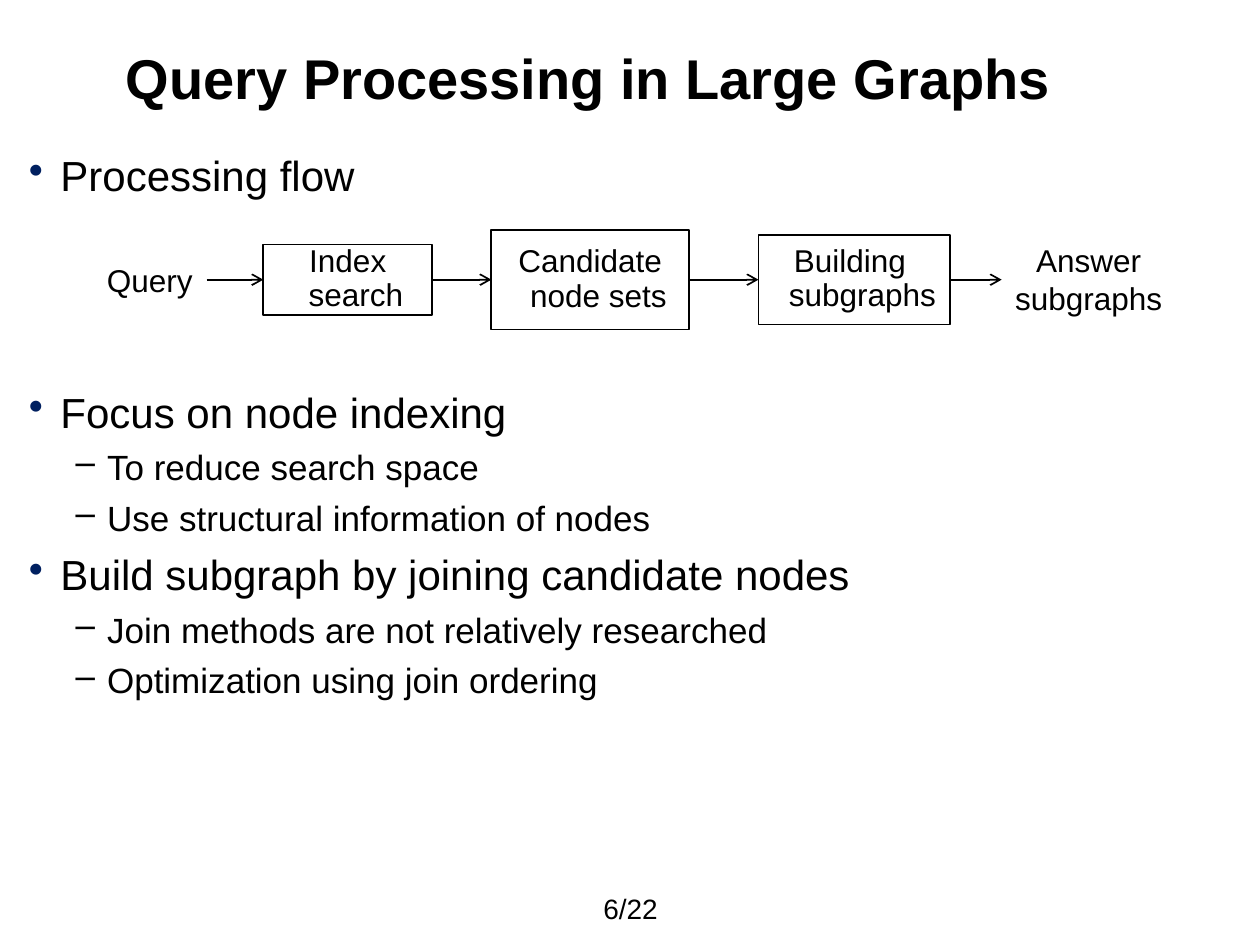
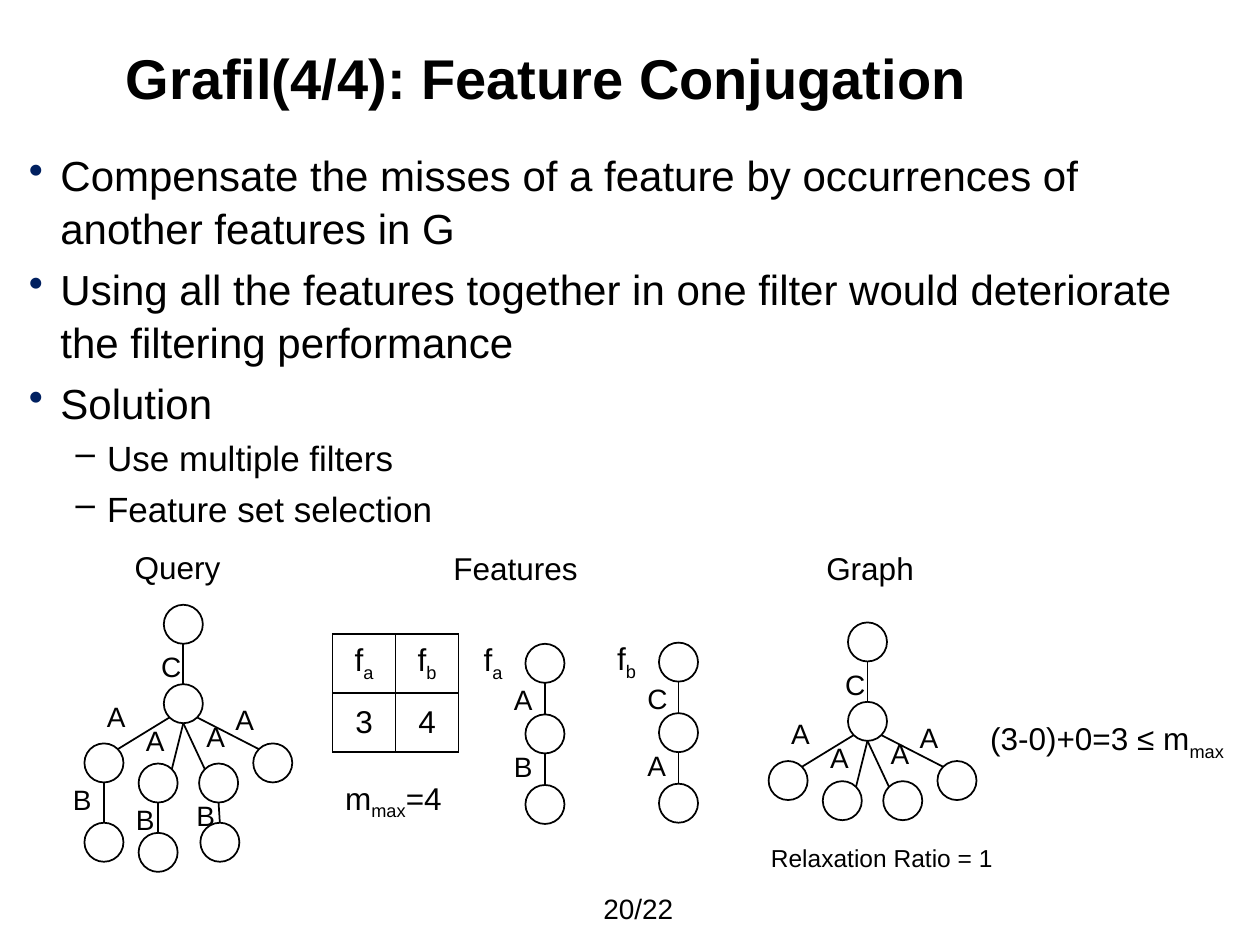
from dataclasses import dataclass
from lxml.etree import SubElement
from pptx import Presentation
from pptx.dml.color import RGBColor
from pptx.enum.shapes import MSO_CONNECTOR, MSO_SHAPE
from pptx.enum.text import MSO_ANCHOR, PP_ALIGN
from pptx.oxml.ns import qn
from pptx.util import Inches, Pt


@dataclass(frozen=True)
class Theme:
    font: str = "Arial"
    ink: str = "000000"
    bullet: str = "002060"
    title: int = 32
    levels: tuple = (24, 20)
    label: int = 18
    small: int = 16
    note: int = 14
    line: int = 1


T = Theme()
COLUMNS, ROWS = 100, 75
SLIDE_W, SLIDE_H = Inches(10), Inches(7.5)
LAST_PAGE = 22

TITLE_BOX = (9, 2.9, 82.9, 6.4)
BODY_BOX = (2.3, 11.7, 95.3, 54.7)
FOOTER_BOX = (46.9, 70.6, 8.6, 2.9)

NODE = 3.1
TOP, TOP_LEFT, BOTTOM_LEFT = (0.5, 0), (0.15, 0.15), (0.15, 0.85)
BOTTOM, BOTTOM_RIGHT, TOP_RIGHT = (0.5, 1), (0.85, 0.85), (0.85, 0.15)

STAR_NODES = [(0, 0), (0, 6.3), (-6.3, 11), (-2, 12.6), (2.8, 12.6), (7.1, 11)]
STAR_EDGES = [
    (0, BOTTOM, 1, TOP),
    (1, BOTTOM_LEFT, 2, TOP_RIGHT),
    (1, BOTTOM, 3, TOP_RIGHT),
    (1, BOTTOM, 4, TOP_LEFT),
    (1, BOTTOM_RIGHT, 5, TOP_LEFT),
]
STAR_LABELS = [("C", -1.2, 3.1), ("A", -5.5, 7), ("A", -2.4, 8.9),
               ("A", 2.4, 8.6), ("A", 4.7, 7.3)]
TWIG_NODES = [(-6.3, 17.3), (-2, 18.1), (2.9, 17.3)]
TWIG_EDGES = [(n, BOTTOM, n + 4, TOP) for n in (2, 3, 4)]
TWIG_LABELS = [("B", -8.2, 13.6), ("B", -3.2, 15.2), ("B", 1.6, 14.9)]


def col(n):
    return round(n * SLIDE_W / COLUMNS)


def row(n):
    return round(n * SLIDE_H / ROWS)


def place(x, y, w, h):
    return col(x), row(y), col(w), row(h)


def style_runs(p, size, bold=False):
    for r in p.runs:
        r.font.name, r.font.size, r.font.bold = T.font, Pt(size), bold
        r.font.color.rgb = RGBColor.from_string(T.ink)


def write(p, text, size, align=PP_ALIGN.LEFT, bold=False):
    p.alignment = align
    if "_" in text:
        for i, part in enumerate(text.split("_")):
            r = p.add_run()
            r.text = part
            if i % 2:
                r.font._element.set("baseline", "-25000")
    else:
        p.text = text
    style_runs(p, size, bold)


def add_text(slide, box, lines, size, align=PP_ALIGN.LEFT, bold=False,
             wrap=False, anchor=MSO_ANCHOR.TOP):
    sp = slide.shapes.add_textbox(*place(*box))
    tf = sp.text_frame
    tf.word_wrap, tf.vertical_anchor = wrap, anchor
    for i, line in enumerate(lines.split("\n")):
        p = tf.add_paragraph() if i else tf.paragraphs[0]
        write(p, line, size, align, bold)
    return sp


def add_outline(slide, preset, box):
    sp = slide.shapes.add_shape(preset, *place(*box))
    sp.shadow.inherit = False
    sp.fill.background()
    sp.line.color.rgb = RGBColor.from_string(T.ink)
    sp.line.width = Pt(T.line)
    return sp


def add_line(slide, start=(0, 0), end=(0, 0), arrow=False):
    ends = [f(n) for point in (start, end) for f, n in zip((col, row), point)]
    c = slide.shapes.add_connector(MSO_CONNECTOR.STRAIGHT, *ends)
    c.line.color.rgb = RGBColor.from_string(T.ink)
    c.line.width = Pt(T.line)
    if arrow:
        SubElement(c.line._get_or_add_ln(), qn("a:tailEnd"), type="arrow")
    SubElement(c._element.spPr, qn("a:effectLst"))
    return c


def indent(p, left, hanging):
    pPr = p._p.get_or_add_pPr()
    pPr.set("marL", str(Inches(left)))
    pPr.set("indent", str(-Inches(hanging)))
    return pPr


def add_bullets(slide, box, items):
    tf = slide.shapes.add_textbox(*place(*box)).text_frame
    tf.word_wrap = True
    tf.margin_left = tf.margin_right = tf.margin_top = tf.margin_bottom = 0
    for i, (level, text, *gap) in enumerate(items):
        p = tf.add_paragraph() if i else tf.paragraphs[0]
        p.level = level
        pPr = indent(p, (0.25, 0.62)[level], 0.25)
        color = SubElement(pPr, qn("a:buClr"))
        SubElement(color, qn("a:srgbClr"), val=(T.bullet, T.ink)[level])
        SubElement(pPr, qn("a:buChar"), char="•–"[level])
        size = T.levels[level]
        p.line_spacing = 1.05
        if i:
            p.space_before = Pt(gap[0] if gap else round(size * 0.19, 1))
        write(p, text, size)


def add_page(prs, title, page, items):
    slide = prs.slides.add_slide(prs.slide_layouts[6])
    add_text(slide, TITLE_BOX, title, T.title, bold=True, wrap=True,
             anchor=MSO_ANCHOR.MIDDLE)
    add_bullets(slide, BODY_BOX, items)
    add_text(slide, FOOTER_BOX, f"{page}/{LAST_PAGE}", T.small, wrap=True,
             anchor=MSO_ANCHOR.MIDDLE)
    return slide


def add_step(slide, box, text):
    sp = add_outline(slide, MSO_SHAPE.RECTANGLE, box)
    tf = sp.text_frame
    tf.word_wrap, tf.vertical_anchor = False, MSO_ANCHOR.MIDDLE
    p = tf.paragraphs[0]
    indent(p, 0.13, 0.13)
    p.line_spacing = 0.9
    write(p, text, T.label, PP_ALIGN.CENTER)
    return sp


def add_flow(slide, left, axis):
    def centred(x, w, h):
        return left + x, axis - h / 2, w, h

    stops = [add_text(slide, centred(0, 8.9, 4), "Query", T.label)]
    for x, w, h, text in [(13.4, 13.4, 5.6, "Index\vsearch"),
                          (31.5, 15.7, 7.9, "Candidate\vnode sets"),
                          (52.7, 15.2, 7.1, "Building \vsubgraphs")]:
        stops.append(add_step(slide, centred(x, w, h), text))
    stops.append(add_text(slide, centred(72, 13.8, 7.1), "Answer\nsubgraphs",
                          T.label, PP_ALIGN.CENTER))
    for source, target in zip(stops, stops[1:]):
        c = add_line(slide, arrow=True)
        c.begin_connect(source, 3)
        c.end_connect(target, 1)


def add_tree(slide, left, top, nodes, edges, labels):
    def site(node, share):
        x, y = nodes[node]
        return left + x + share[0] * NODE, top + y + share[1] * NODE

    for x, y in nodes:
        add_outline(slide, MSO_SHAPE.OVAL, (left + x, top + y, NODE, NODE))
    for a, from_share, b, to_share in edges:
        add_line(slide, site(a, from_share), site(b, to_share))
    for text, x, y in labels:
        add_text(slide, (left + x, top + y, 3.5, 3.7), text, T.small)


def add_feature(slide, left, top, name, edge_names):
    nodes = [(0, 5.6 * i) for i in range(3)]
    edges = [(i, BOTTOM, i + 1, TOP) for i in range(2)]
    labels = [(text, -1.9, 2.6 + 5.3 * i) for i, text in enumerate(edge_names)]
    add_tree(slide, left, top, nodes, edges, labels)
    add_text(slide, (left - 4.3, top - 0.8, 3.6, 4), name, T.label)


def add_border(cell):
    tcPr = cell._tc.get_or_add_tcPr()
    for i, side in enumerate(("lnL", "lnR", "lnT", "lnB")):
        ln = SubElement(tcPr, qn(f"a:{side}"), w=str(Pt(T.line)))
        fill = SubElement(ln, qn("a:solidFill"))
        SubElement(fill, qn("a:srgbClr"), val=T.ink)


def add_counts(slide, left, top, rows):
    w, h = 5 * len(rows[0]), 4.7 * len(rows)
    table = slide.shapes.add_table(len(rows), len(rows[0]),
                                   *place(left, top, w, h)).table
    table.first_row = table.horz_banding = False
    for i, values in enumerate(rows):
        for j, text in enumerate(values):
            cell = table.cell(i, j)
            cell.margin_left = cell.margin_right = 0
            cell.margin_top = cell.margin_bottom = 0
            cell.vertical_anchor = MSO_ANCHOR.MIDDLE
            add_border(cell)
            cell.fill.background()
            write(cell.text_frame.paragraphs[0], text, T.label, PP_ALIGN.CENTER)


def build_processing(prs):
    slide = add_page(prs, "Query Processing in Large Graphs", 6, [
        (0, "Processing flow"),
        (0, "Focus on node indexing", 105),
        (1, "To reduce search space"),
        (1, "Use structural information of nodes"),
        (0, "Build subgraph by joining candidate nodes"),
        (1, "Join methods are not relatively researched"),
        (1, "Optimization using join ordering"),
    ])
    add_flow(slide, 7.5, 22.2)


def build_conjugation(prs):
    slide = add_page(prs, "Grafil(4/4): Feature Conjugation", 20, [
        (0, "Compensate the misses of a feature by occurrences of another "
            "features in G"),
        (0, "Using all the features together in one filter would deteriorate "
            "the filtering performance"),
        (0, "Solution"),
        (1, "Use multiple filters"),
        (1, "Feature set selection"),
    ])
    for x, y, w, text in [(9.7, 43, 8.9, "Query"), (35, 43.1, 12, "Features"),
                          (64.6, 43.1, 9, "Graph"),
                          (26.4, 61.3, 10.2, "m_max_=4"),
                          (77.6, 56.6, 21.2, "(3-0)+0=3 ≤ m_max_")]:
        add_text(slide, (x, y, w, 4), text, T.label)
    add_text(slide, (60.2, 66.4, 19.7, 3.4), "Relaxation Ratio = 1", T.note)
    add_tree(slide, 13, 48, STAR_NODES + TWIG_NODES, STAR_EDGES + TWIG_EDGES,
             STAR_LABELS + TWIG_LABELS)
    add_counts(slide, 26.4, 50.3, [("f_a_", "f_b_"), ("3", "4")])
    add_feature(slide, 41.7, 51.1, "f_a_", "AB")
    add_feature(slide, 52.3, 51, "f_b_", "CA")
    add_tree(slide, 67.3, 49.4, STAR_NODES, STAR_EDGES, STAR_LABELS)


def main():
    prs = Presentation()
    prs.slide_width, prs.slide_height = SLIDE_W, SLIDE_H
    build_processing(prs)
    build_conjugation(prs)
    prs.save("out.pptx")


if __name__ == "__main__":
    main()
